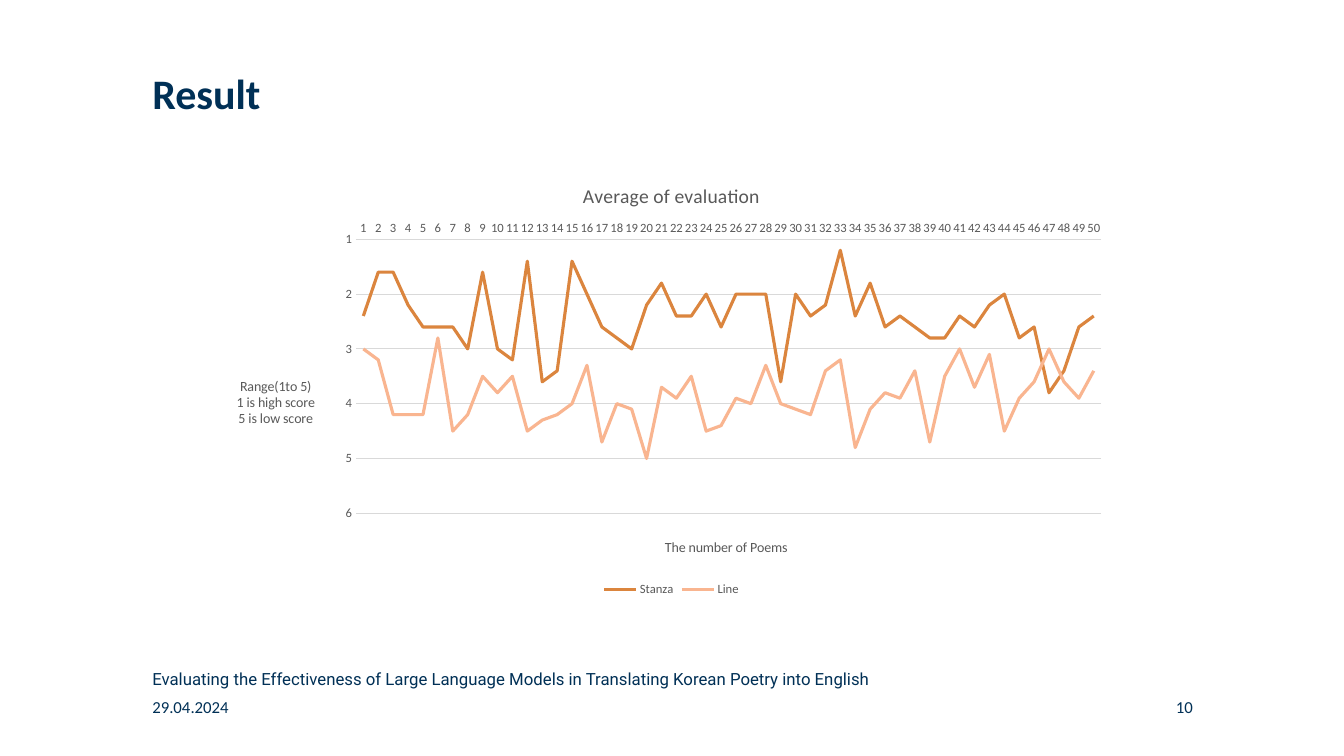
"""Build the result slide with its line chart of average evaluations."""
import lxml.etree
import pptx
import pptx.chart.data
import pptx.dml.color
import pptx.enum.chart
import pptx.enum.text
import pptx.oxml.ns
import pptx.util

Cm, Pt = pptx.util.Cm, pptx.util.Pt
RGBColor = pptx.dml.color.RGBColor
ALIGN = pptx.enum.text.PP_ALIGN
NAVY = RGBColor(0x00, 0x30, 0x56)
GREY = RGBColor(0x59, 0x59, 0x59)
LIGHT_GREY = RGBColor(0xD9, 0xD9, 0xD9)
ORANGE = RGBColor(0xDB, 0x85, 0x3E)
PEACH = RGBColor(0xF9, 0xB5, 0x90)

HEADING = "Result"
CHART_TITLE = "Average of evaluation"
POEM_TITLE = "The number of Poems"
RANGE_TITLE = "Range(1to 5)\n1 is high score\n5 is low score"
SCORES = [
    ("Stanza", ORANGE, [
        2.4, 1.6, 1.6, 2.2, 2.6, 2.6, 2.6, 3, 1.6, 3,
        3.2, 1.4, 3.6, 3.4, 1.4, 2, 2.6, 2.8, 3, 2.2,
        1.8, 2.4, 2.4, 2, 2.6, 2, 2, 2, 3.6, 2,
        2.4, 2.2, 1.2, 2.4, 1.8, 2.6, 2.4, 2.6, 2.8, 2.8,
        2.4, 2.6, 2.2, 2, 2.8, 2.6, 3.8, 3.4, 2.6, 2.4]),
    ("Line", PEACH, [
        3, 3.2, 4.2, 4.2, 4.2, 2.8, 4.5, 4.2, 3.5, 3.8,
        3.5, 4.5, 4.3, 4.2, 4, 3.3, 4.7, 4, 4.1, 5,
        3.7, 3.9, 3.5, 4.5, 4.4, 3.9, 4, 3.3, 4, 4.1,
        4.2, 3.4, 3.2, 4.8, 4.1, 3.8, 3.9, 3.4, 4.7, 3.5,
        3, 3.7, 3.1, 4.5, 3.9, 3.6, 3, 3.6, 3.9, 3.4]),
]
LEFT = 3.84
FOOTERS = [
    ("Evaluating the Effectiveness of Large Language Models in Translating "
     "Korean Poetry into English", (LEFT, 16.84, 18.39, 0.5), "Roboto", ALIGN.LEFT),
    ("29.04.2024", (LEFT, 17.55, 7.9, 0.5), "Calibri", ALIGN.LEFT),
    ("10", (26.16, 17.55, 3.91, 0.5), "Calibri", ALIGN.RIGHT),
]


def style(font, size, color, name="Calibri", bold=False):
    font.size, font.name, font.bold = Pt(size), name, bold
    font.color.rgb = color


def write(frame, text, size, color, name="Calibri", bold=False, align=None):
    frame.text = text
    for paragraph in frame.paragraphs:
        paragraph.alignment = align
        for run in paragraph.runs:
            style(run.font, size, color, name, bold)


def fill_box(box, place, *args, **options):
    box.left, box.top, box.width, box.height = map(Cm, place)
    frame = box.text_frame
    frame.margin_left = frame.margin_top = frame.margin_right = frame.margin_bottom = 0
    frame.word_wrap = True
    frame.auto_size = pptx.enum.text.MSO_AUTO_SIZE.NONE
    frame.vertical_anchor = pptx.enum.text.MSO_ANCHOR.TOP
    write(frame, *args, **options)


def set_layout(parent, index, settings):
    qn = pptx.oxml.ns.qn
    for old in parent.findall(qn("c:layout")):
        parent.remove(old)
    layout = lxml.etree.Element(qn("c:layout"))
    manual = lxml.etree.SubElement(layout, qn("c:manualLayout"))
    for tag, value in settings.items():
        lxml.etree.SubElement(manual, qn("c:" + tag)).set("val", str(value))
    parent.insert(index, layout)


def add_scores(slide):
    data = pptx.chart.data.CategoryChartData()
    data.categories = [str(poem + 1) for poem in range(len(SCORES[0][2]))]
    for name, _, values in SCORES:
        data.add_series(name, values)
    chart = slide.shapes.add_chart(
        pptx.enum.chart.XL_CHART_TYPE.LINE,
        Cm(5.66), Cm(4.14), Cm(22.53), Cm(11), data).chart
    style(chart.font, 10, GREY)
    chart.has_title = True
    write(chart.chart_title.text_frame, CHART_TITLE, 14, GREY)
    chart.has_legend = True
    chart.legend.position = pptx.enum.chart.XL_LEGEND_POSITION.BOTTOM
    chart.legend.include_in_layout = False
    style(chart.legend.font, 9, GREY)
    chart.plots[0].vary_by_categories = False
    for series, (_, color, _) in zip(chart.plots[0].series, SCORES):
        series.smooth = False
        series.format.line.color.rgb = color
        series.format.line.width = Pt(2.25)
        series.marker.style = pptx.enum.chart.XL_MARKER_STYLE.NONE

    poems, scale = chart.category_axis, chart.value_axis
    for axis, title, x, y in [(poems, POEM_TITLE, 0.49, 0.85),
                              (scale, RANGE_TITLE, 0.01, 0.48)]:
        axis.major_tick_mark = pptx.enum.chart.XL_TICK_MARK.NONE
        axis.minor_tick_mark = pptx.enum.chart.XL_TICK_MARK.NONE
        style(axis.tick_labels.font, 9, GREY)
        write(axis.axis_title.text_frame, title, 10, GREY, align=ALIGN.CENTER)
        heading = axis.axis_title._element
        body = heading.find(".//" + pptx.oxml.ns.qn("a:bodyPr"))
        body.set("rot", "0")
        body.set("vert", "horz")
        set_layout(heading, 1, {"xMode": "edge", "yMode": "edge", "x": x, "y": y})
    scale.minimum_scale, scale.maximum_scale, scale.major_unit = 1, 6, 1
    scale.reverse_order = True
    scale.tick_labels.number_format = "General"
    scale.tick_labels.number_format_is_linked = False
    scale.format.line.fill.background()
    for line in (poems.format.line, scale.major_gridlines.format.line):
        line.color.rgb = LIGHT_GREY
        line.width = Pt(0.75)
    plot_area = chart.plots[0]._element.getparent()
    set_layout(plot_area, 0, {
        "layoutTarget": "inner", "xMode": "edge", "yMode": "edge",
        "x": 0.147, "y": 0.172, "w": 0.834, "h": 0.628})


def main():
    deck = pptx.Presentation()
    deck.slide_width, deck.slide_height = Cm(33.88), Cm(19.05)
    slide = deck.slides.add_slide(deck.slide_layouts[5])
    fill_box(slide.shapes.title, (LEFT, 1.7, 17.93, 3.48), HEADING, 30, NAVY,
             bold=True, align=ALIGN.LEFT)
    add_scores(slide)
    for text, place, font, align in FOOTERS:
        box = slide.shapes.add_textbox(0, 0, 0, 0)
        fill_box(box, place, text, 12, NAVY, name=font, align=align)
    deck.save("out.pptx")


if __name__ == "__main__":
    main()
